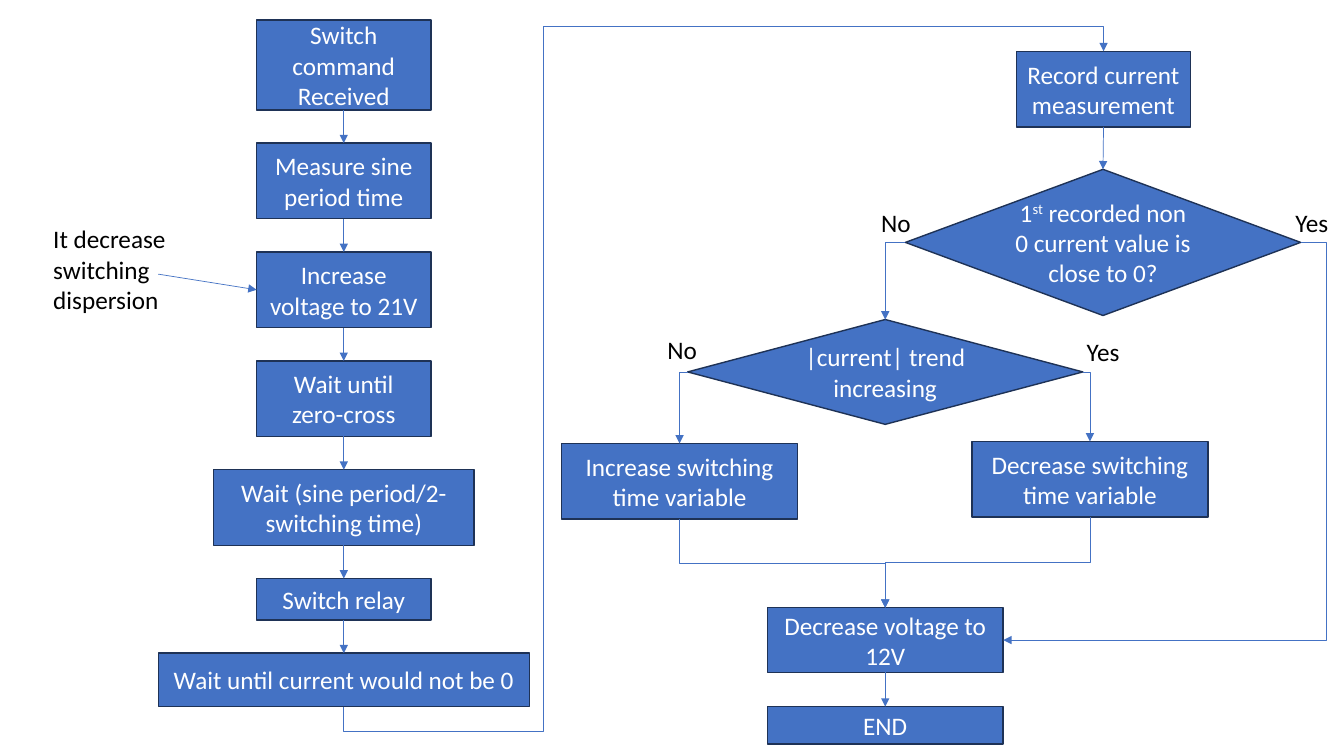
from pptx import Presentation
from pptx import util as u
from pptx.dml.color import RGBColor
from pptx.enum import shapes, text
from pptx.oxml import ns
from lxml import etree

TOP, LEFT, BOTTOM, RIGHT = range(4)
RECT, DIAMOND = shapes.MSO_SHAPE.RECTANGLE, shapes.MSO_SHAPE.DIAMOND
STRAIGHT, ELBOW = shapes.MSO_CONNECTOR.STRAIGHT, shapes.MSO_CONNECTOR.ELBOW

STEPS = [
    ("command", "Switch command\nReceived", 1.73, 0.89),
    ("measure", "Measure sine period time", 1.73, 0.75),
    ("boost", "Increase voltage to 21V", 1.73, 0.75),
    ("crossing", "Wait until zero-cross", 1.73, 0.75),
    ("delay", "Wait (sine period/2-switching time)", 2.58, 0.75),
    ("relay", "Switch relay", 1.73, 0.41),
    ("flowing", "Wait until current would not be 0", 3.68, 0.53),
]
STEP_CENTRE, STEP_TOP, STEP_GAP = 3.41, 0.2, 0.33

BRANCHES = [
    ("record", "Record current measurement", RECT, 10.08, 0.51, 1.73, 0.75),
    ("near_zero", "1^st^ recorded non 0 current value is close to 0?",
     DIAMOND, 8.98, 1.68, 3.92, 1.45),
    ("trend", "|current| trend increasing", DIAMOND, 6.82, 3.17, 3.92, 1.04),
    ("longer", "Increase switching time variable", RECT, 5.57, 4.4, 2.34, 0.75),
    ("shorter", "Decrease switching time variable", RECT, 9.64, 4.38, 2.34, 0.75),
    ("lower", "Decrease voltage to 12V", RECT, 7.61, 6.03, 2.34, 0.64),
    ("end", "END", RECT, 7.61, 7.01, 2.34, 0.37),
]

DOWNWARD = [(a[0], b[0]) for a, b in zip(STEPS, STEPS[1:])]
DOWNWARD += [("record", "near_zero"), ("lower", "end")]

ELBOWS = [
    ("flowing", BOTTOM, "record", TOP, "bentConnector5", 90, "HV", (-3.8, 26.3, 103.8)),
    ("near_zero", LEFT, "trend", TOP, "bentConnector2", 180, "V", ()),
    ("trend", LEFT, "longer", TOP, "bentConnector2", 180, "V", ()),
    ("trend", RIGHT, "shorter", TOP, "bentConnector2", 0, "", ()),
    ("longer", BOTTOM, "lower", TOP, "bentConnector3", 270, "H", (50,)),
    ("shorter", BOTTOM, "lower", TOP, "bentConnector3", 90, "", (50,)),
    ("near_zero", RIGHT, "lower", RIGHT, "bentConnector3", 0, "H", (-8.5,)),
]

ANSWERS = [("Yes", 12.75, 2.01, 0.53), ("No", 8.64, 2.01, 0.5),
           ("No", 6.52, 3.27, 0.5), ("Yes", 10.68, 3.29, 0.53)]
NOTE = ["It decrease", "switching dispersion"]
NOTE_BOX = (0.43, 2.17, 1.66, 1.01)
NOTE_TIP = (1.57, 2.72)

THEME = {
    "fill": RGBColor.from_string("4472C4"),
    "edge": RGBColor.from_string("1E3256"),
    "light": RGBColor.from_string("FFFFFF"),
    "dark": RGBColor.from_string("000000"),
    "font": "Calibri",
    "size": u.Pt(18),
    "edge_width": u.Pt(1),
    "arrow_width": u.Pt(0.5),
}


def apply(target, formats):
    for name, value in formats.items():
        setattr(target, name, value)


def write(paragraph, label, colour):
    first, *rest = label.split("^")
    paragraph.text = first
    for index, piece in enumerate(rest):
        run = paragraph.add_run()
        run.text = piece
        if index % 2 == 0:
            run.font._element.set("baseline", "30000")
    for run in paragraph.runs:
        apply(run.font, {"name": THEME["font"], "size": THEME["size"]})
        run.font.color.rgb = colour


def add_node(slide, label, outline, *box):
    node = slide.shapes.add_shape(outline, *map(u.Inches, box))
    node.shadow.inherit = False
    node.fill.solid()
    node.fill.fore_color.rgb = THEME["fill"]
    node.line.color.rgb = THEME["edge"]
    node.line.width = THEME["edge_width"]
    apply(node.text_frame, {"word_wrap": True, "vertical_anchor": text.MSO_ANCHOR.MIDDLE})
    paragraph = node.text_frame.paragraphs[0]
    paragraph.alignment = text.PP_ALIGN.CENTER
    write(paragraph, label, THEME["light"])
    return node


def add_label(slide, lines, box, wrap):
    frame = slide.shapes.add_textbox(*map(u.Inches, box)).text_frame
    apply(frame, {"word_wrap": wrap, "auto_size": text.MSO_AUTO_SIZE.SHAPE_TO_FIT_TEXT})
    for index, line in enumerate(lines):
        paragraph = frame.add_paragraph() if index else frame.paragraphs[0]
        write(paragraph, line, THEME["dark"])


def add_arrow(slide, kind, target, target_side, source=None, source_side=BOTTOM, start=(0, 0)):
    arrow = slide.shapes.add_connector(kind, *map(u.Inches, (*start, *start)))
    if source is not None:
        arrow.begin_connect(source, source_side)
    arrow.end_connect(target, target_side)
    arrow.line.color.rgb = THEME["fill"]
    arrow.line.width = THEME["arrow_width"]
    etree.SubElement(arrow.line._get_or_add_ln(), ns.qn("a:tailEnd"), type="triangle")
    etree.SubElement(arrow._element.spPr, ns.qn("a:effectLst"))
    return arrow


def bend(arrow, preset, turn, flips, bends):
    across, down = abs(arrow.end_x - arrow.begin_x), abs(arrow.end_y - arrow.begin_y)
    middle_x = (arrow.begin_x + arrow.end_x) // 2
    middle_y = (arrow.begin_y + arrow.end_y) // 2
    width, height = (down, across) if turn % 180 else (across, down)
    apply(arrow, {"left": middle_x - width // 2, "top": middle_y - height // 2,
                  "width": width, "height": height})
    frame = arrow._element.spPr.find(ns.qn("a:xfrm"))
    frame.set("rot", str(turn * 60000))
    for axis in "HV":
        frame.set("flip" + axis, str(int(axis in flips)))
    geometry = arrow._element.spPr.find(ns.qn("a:prstGeom"))
    geometry.set("prst", preset)
    guides = geometry.find(ns.qn("a:avLst"))
    for number, percent in enumerate(bends, 1):
        etree.SubElement(guides, ns.qn("a:gd"), name=f"adj{number}",
                         fmla=f"val {round(percent * 1000)}")


def main():
    deck = Presentation()
    deck.slide_width, deck.slide_height = u.Inches(13.33), u.Inches(7.5)
    slide = deck.slides.add_slide(deck.slide_layouts[6])

    nodes = {}
    top = STEP_TOP
    for key, label, width, height in STEPS:
        nodes[key] = add_node(slide, label, RECT, STEP_CENTRE - width / 2, top, width, height)
        top += height + STEP_GAP
    for key, label, outline, *box in BRANCHES:
        nodes[key] = add_node(slide, label, outline, *box)

    for source, target in DOWNWARD:
        add_arrow(slide, STRAIGHT, nodes[target], TOP, nodes[source])
    for source, leaving, target, entering, *route in ELBOWS:
        bend(add_arrow(slide, ELBOW, nodes[target], entering, nodes[source], leaving), *route)
    add_arrow(slide, STRAIGHT, nodes["boost"], LEFT, start=NOTE_TIP)

    for answer, left, top, width in ANSWERS:
        add_label(slide, [answer], (left, top, width, 0.4), False)
    add_label(slide, NOTE, NOTE_BOX, True)
    deck.save("out.pptx")


if __name__ == "__main__":
    main()
